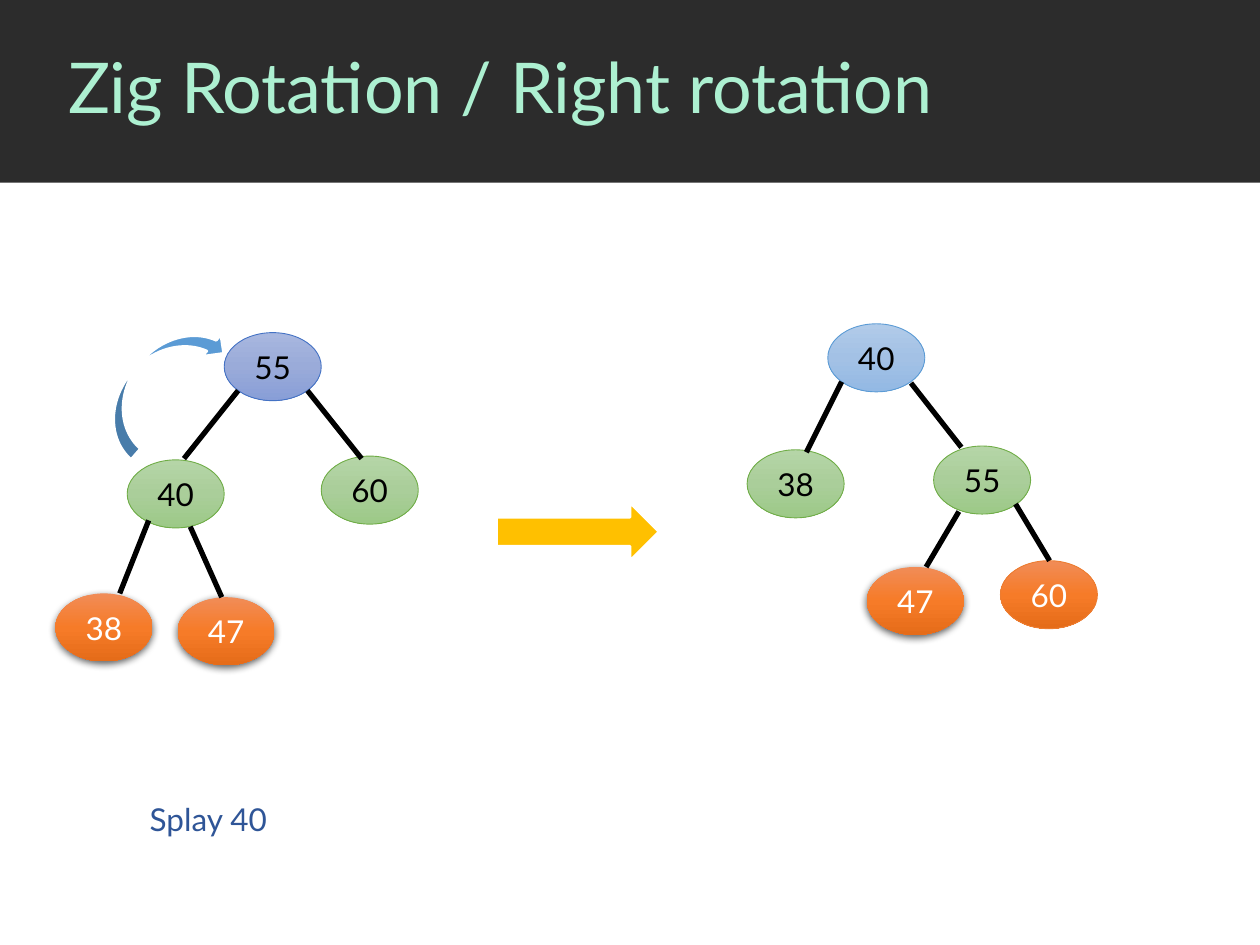
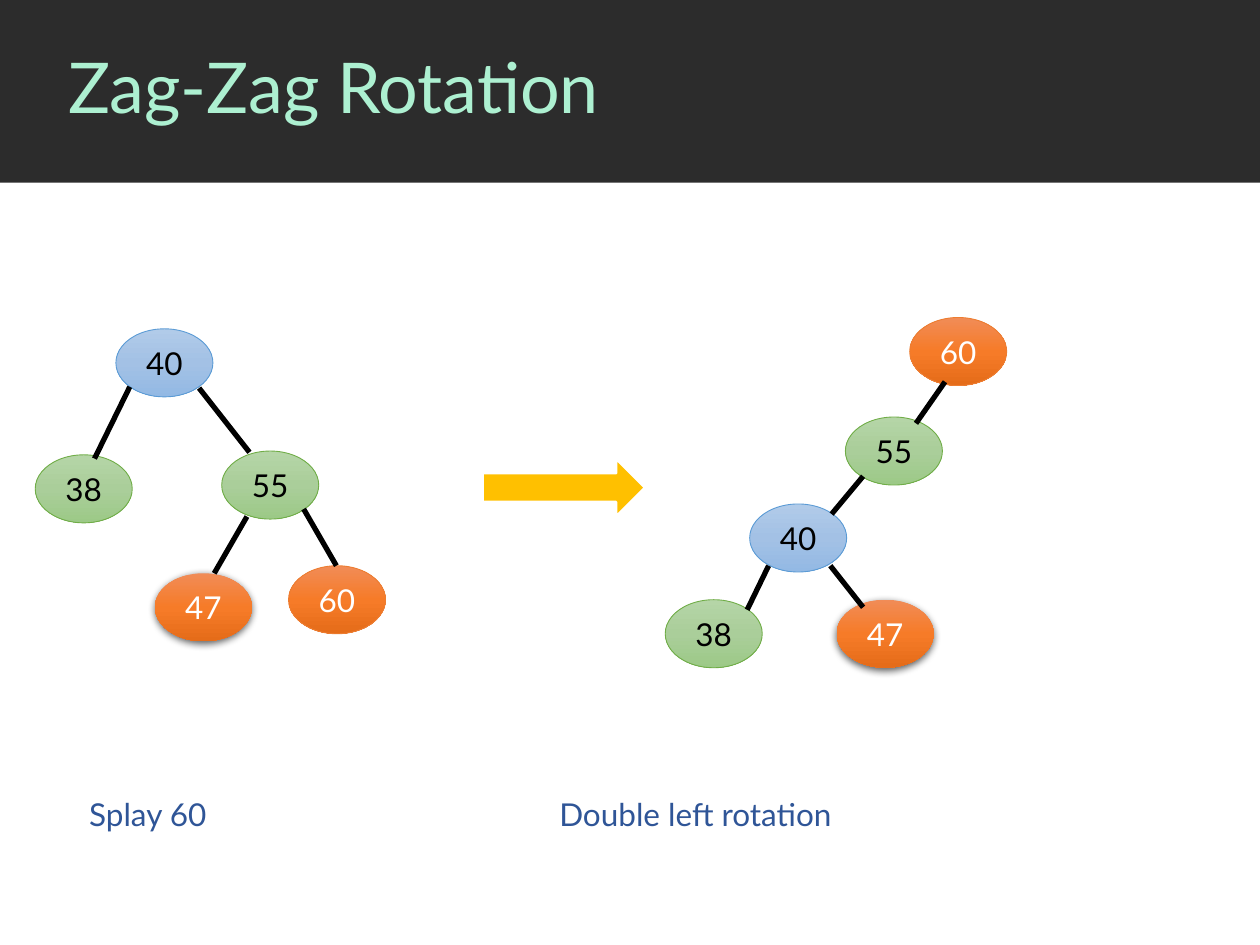
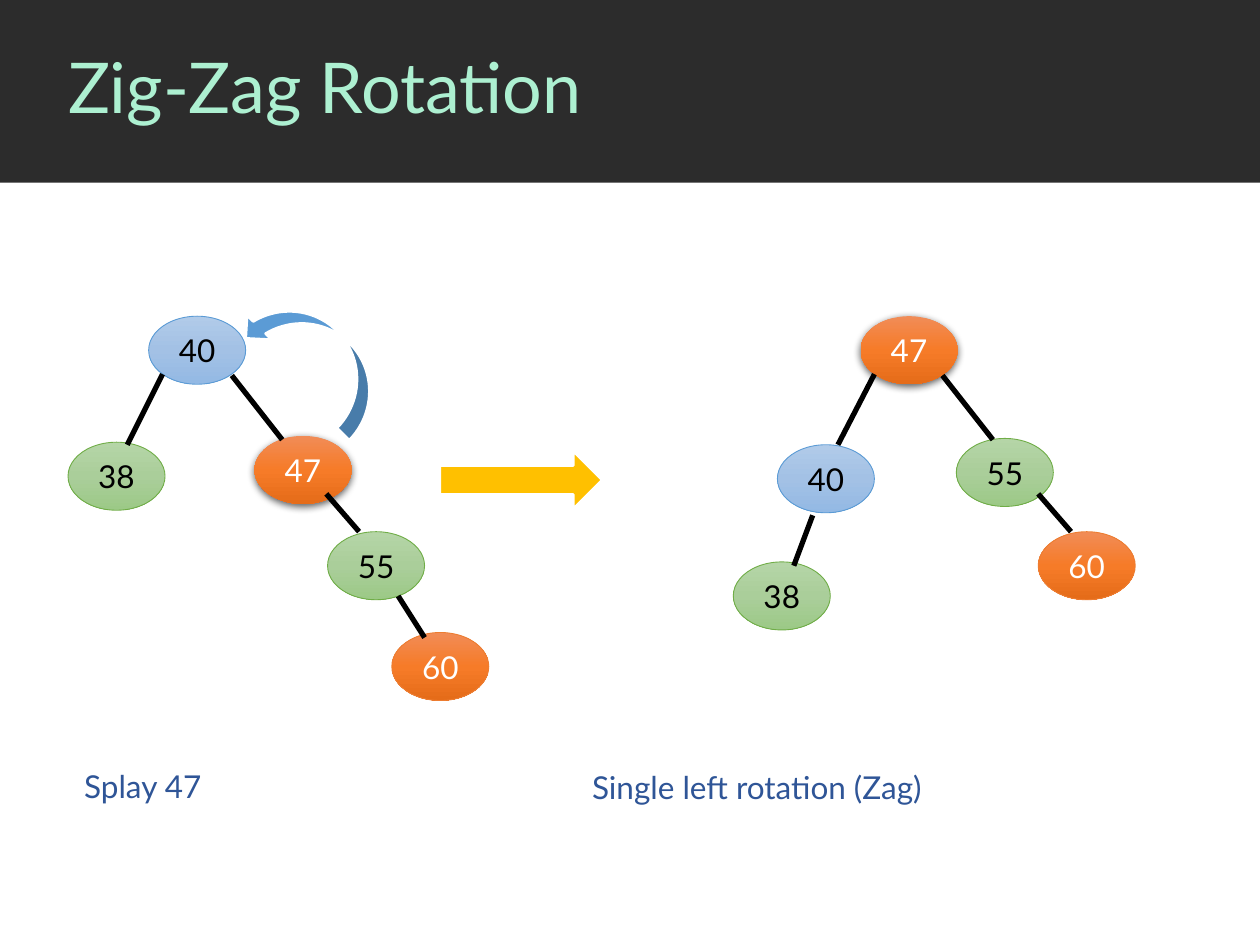
from copy import deepcopy
from lxml import etree
from pptx import Presentation, util as u
from pptx.dml.color import RGBColor as Rgb
from pptx.enum import shapes as sh, text as tx
from pptx.oxml.ns import qn


class Theme:
    font = "Lato"
    head, body = u.Pt(40), u.Pt(18)
    band, title, note = "2C2C2C", "ADF0D1", "2F5597"
    black, white = "000000", "FFFFFF"
    gold, bend = "FFC000", "5B9BD5"
    node = u.Inches(0.77), u.Inches(0.54)
    edge, rim, trim = u.Pt(3), u.Pt(0.5), u.Pt(1.5)
    fire = ["F18C57", "F67B28", "E56C19"]
    kinds = {
        "root": (["A8B7DF", "9AABD9", "889ED7"], "4472C4", black),
        "sky": (["B1CBE9", "A3C1E5", "93B9E4"], "5B9BD5", black),
        "leaf": (["B5D5A7", "AACE9A", "9CC987"], "70AD47", black),
        "fire": (fire, "ED7D31", white),
        "glow": (fire, None, white),
    }


def write(frame, words, size, color, align):
    para = frame.paragraphs[0]
    para.alignment = align
    run = para.add_run()
    run.text = words
    run.font.name, run.font.size = Theme.font, size
    run.font.color.rgb = Rgb.from_string(color)
    return para


def draw(slide, form, box, fill, line=None):
    shape = slide.shapes.add_shape(form, *[u.Inches(v) for v in box])
    shape.shadow.inherit = False
    shape.fill.solid()
    shape.fill.fore_color.rgb = Rgb.from_string(fill)
    if line:
        shape.line.color.rgb = Rgb.from_string(line)
        shape.line.width = Theme.trim
    else:
        shape.line.fill.background()
    return shape


pages = [
    {
        "title": "Zig Rotation / Right rotation",
        "trees": [
            ([("55", "root", 1.78, 2.64), ("47", "glow", 1.41, 4.74),
              ("38", "glow", 0.44, 4.71), ("60", "leaf", 2.55, 3.62),
              ("40", "leaf", 1.01, 3.65)],
             [(1.89, 3.1, 1.46, 3.64), (1.51, 4.18, 1.76, 4.74),
              (2.44, 3.1, 2.87, 3.64), (1.18, 4.13, 0.95, 4.71)]),
            ([("55", "leaf", 7.41, 3.54), ("47", "glow", 6.88, 4.5),
              ("38", "leaf", 5.93, 3.57), ("60", "fire", 7.94, 4.45),
              ("40", "sky", 6.57, 2.57)],
             [(7.61, 4.06, 7.35, 4.5), (7.23, 3.04, 7.63, 3.55),
              (8.06, 4, 8.33, 4.45), (6.68, 3.03, 6.4, 3.59)]),
        ],
        "notes": [("Splay 40", 1.09, 6.3, 1.37)],
        "arrow": (3.94, 3.99),
        "curve": ((0.66, 2.81, 1.23, 0.45), 311.1, False),
    },
    {
        "title": "Zag-Zag Rotation",
        "trees": [
            ([("55", "leaf", 1.76, 3.58), ("47", "glow", 1.23, 4.55),
              ("38", "leaf", 0.28, 3.61), ("60", "fire", 2.29, 4.49),
              ("40", "sky", 0.92, 2.61)],
             [(1.96, 4.1, 1.7, 4.55), (1.58, 3.08, 1.98, 3.59),
              (2.41, 4.04, 2.67, 4.49), (1.03, 3.07, 0.75, 3.64)]),
            ([("55", "leaf", 6.71, 3.31), ("47", "glow", 6.64, 4.76),
              ("38", "leaf", 5.28, 4.76), ("60", "fire", 7.22, 2.52),
              ("40", "sky", 5.95, 4)],
             [(7.5, 3.03, 7.27, 3.36), (6.1, 4.49, 5.93, 4.84),
              (6.59, 4.49, 6.85, 4.82), (6.85, 3.78, 6.6, 4.08)]),
        ],
        "notes": [("Splay 60", 0.61, 6.26, 1.37),
                  ("Double left rotation", 4.34, 6.26, 2.61)],
        "arrow": (3.83, 3.64),
        "curve": None,
    },
    {
        "title": "Zig-Zag Rotation",
        "trees": [
            ([("55", "leaf", 2.6, 4.22), ("47", "glow", 2.02, 3.46),
              ("38", "leaf", 0.54, 3.51), ("60", "fire", 3.11, 5.02),
              ("40", "sky", 1.18, 2.51)],
             [(2.59, 3.92, 2.85, 4.22), (1.84, 2.98, 2.24, 3.49),
              (3.16, 4.73, 3.37, 5.06), (1.29, 2.97, 1.01, 3.53)]),
            ([("55", "leaf", 7.59, 3.48), ("47", "glow", 6.83, 2.51),
              ("38", "leaf", 5.82, 4.46), ("60", "fire", 8.24, 4.22),
              ("40", "sky", 6.17, 3.53)],
             [(8.24, 3.92, 8.5, 4.22), (7.48, 2.98, 7.88, 3.49),
              (6.45, 4.09, 6.3, 4.49), (6.94, 2.97, 6.65, 3.53)]),
        ],
        "notes": [("Single left rotation (Zag)", 4.6, 6.05, 3.05),
                  ("Splay 47", 0.57, 6.04, 1.37)],
        "arrow": (3.49, 3.58),
        "curve": ((1.86, 2.57, 1.29, 0.55), 224.5, True),
    },
]

deck = Presentation()
deck.slide_width, deck.slide_height = u.Inches(10), u.Inches(7.5)
plan = deck.slide_layouts[5]
name = plan.placeholders[0]
name.left, name.top = u.Inches(0.44), u.Inches(0)
name.width, name.height = u.Inches(9.56), u.Inches(1.44)
name.text_frame.vertical_anchor = tx.MSO_ANCHOR.MIDDLE

for page in pages:
    slide = deck.slides.add_slide(plan)
    if page is pages[0]:
        band = draw(slide, sh.MSO_SHAPE.RECTANGLE, (0, 0, 10, 1.45), Theme.band)
        plan.shapes.element.insert(2, band.element)
    para = write(slide.shapes.title.text_frame, page["title"], Theme.head,
                 Theme.title, tx.PP_ALIGN.LEFT)
    para.line_spacing = 0.9

    for nodes, edges in page["trees"]:
        for key, kind, x, y in nodes:
            tones, rim, ink = Theme.kinds[kind]
            node = slide.shapes.add_shape(sh.MSO_SHAPE.OVAL, u.Inches(x),
                                          u.Inches(y), *Theme.node)
            node.shadow.inherit = False
            node.fill.gradient()
            node.fill.gradient_angle = 270
            stops = node.element.spPr.find(".//" + qn("a:gsLst"))
            stops.append(deepcopy(stops[0]))
            for i, stop in enumerate(node.fill.gradient_stops):
                stop.position = i / 2
                stop.color.rgb = Rgb.from_string(tones[i])
            if rim:
                node.line.color.rgb = Rgb.from_string(rim)
                node.line.width = Theme.rim
            else:
                node.line.fill.background()
                glow = etree.SubElement(
                    node.element.spPr.find(qn("a:effectLst")), qn("a:outerShdw"),
                    blurRad=str(u.Pt(4.5)), dist=str(u.Pt(1.5)),
                    dir="5400000", algn="ctr", rotWithShape="0")
                tint = etree.SubElement(glow, qn("a:srgbClr"), val=Theme.black)
                etree.SubElement(tint, qn("a:alpha"), val="63000")
            write(node.text_frame, key, Theme.body, ink, tx.PP_ALIGN.CENTER)
        for ends in edges:
            edge = slide.shapes.add_connector(sh.MSO_CONNECTOR.STRAIGHT,
                                              *[u.Inches(v) for v in ends])
            edge.line.color.rgb = Rgb.from_string(Theme.black)
            edge.line.width = Theme.edge
            etree.SubElement(edge.element.spPr, qn("a:effectLst"))

    for words, x, y, wide in page["notes"]:
        note = slide.shapes.add_textbox(u.Inches(x), u.Inches(y),
                                        u.Inches(wide), u.Inches(0.4))
        note.text_frame.word_wrap = True
        note.text_frame.auto_size = tx.MSO_AUTO_SIZE.SHAPE_TO_FIT_TEXT
        write(note.text_frame, words, Theme.body, Theme.note, tx.PP_ALIGN.LEFT)

    draw(slide, sh.MSO_SHAPE.RIGHT_ARROW, (*page["arrow"], 1.29, 0.46),
         Theme.gold, Theme.white)
    if page["curve"]:
        box, turn, flip = page["curve"]
        curve = draw(slide, sh.MSO_SHAPE.CURVED_DOWN_ARROW, box,
                     Theme.bend, Theme.white)
        curve.rotation = turn
        if flip:
            curve.element.spPr.find(qn("a:xfrm")).set("flipV", "1")

deck.save("out.pptx")
